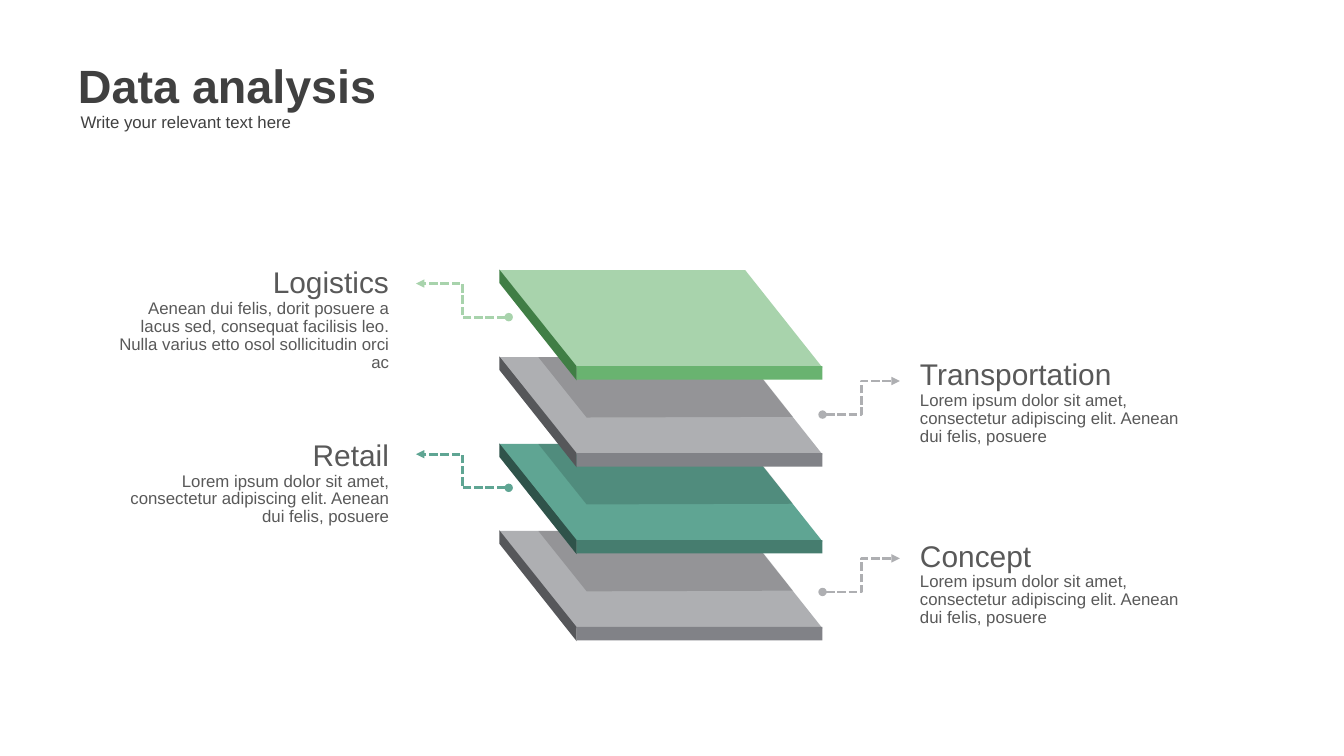
from lxml import etree
from pptx import Presentation
from pptx.dml.color import RGBColor
from pptx.enum.dml import MSO_LINE
from pptx.enum.shapes import MSO_CONNECTOR, MSO_SHAPE
from pptx.enum.text import MSO_ANCHOR, MSO_AUTO_SIZE, PP_ALIGN
from pptx.oxml.ns import qn
from pptx.util import Inches, Pt

COLORS = {
    "title": "404040", "text": "595959", "shade": "000000",
    "gray": "AEAFB2", "gray_side": "56575A", "gray_front": "818287",
    "teal": "5FA593", "teal_side": "2F534A", "teal_front": "467D6F",
    "green": "A8D3AC", "green_side": "407E45", "green_front": "69B370",
}
FONT = "Arial"

LAYERS = ["green", "gray", "teal", "gray"]  # top to bottom
STACK_BOX = (7.43, 4.01, 4.81, 5.53)
LAYER_HEIGHT = 1.65
TOP_FACE = [(1.15, 1.46), (4.81, 1.46), (3.66, 0.01), (0, 0.01)]
SIDE_FACE = [(0, 0), (0, 0.2), (1.15, 1.65), (1.15, 1.44)]
SHADE = [(1.3, 0.91), (4.37, 0.9), (3.67, 0.01), (0.58, 0.01)]

LOREM = ("Lorem ipsum dolor sit amet, consectetur adipiscing elit. "
         "Aenean dui felis, posuere")
AENEAN = ("Aenean dui felis, dorit posuere a lacus sed, consequat facilisis "
          "leo. Nulla varius etto osol sollicitudin orci ac")
# heading, body, text box, colour, alignment, arrow start, arrow end
CALLOUTS = [
    ("Logistics", AENEAN, (1.34, 3.94, 4.85, 1.77), "green", PP_ALIGN.RIGHT,
     (7.57, 4.72), (6.19, 4.22)),
    ("Retail", LOREM, (1.34, 6.51, 4.85, 1.5), "teal", PP_ALIGN.RIGHT,
     (7.57, 7.26), (6.19, 6.76)),
    ("Transportation", LOREM, (13.29, 5.31, 5.05, 1.5), "gray", PP_ALIGN.LEFT,
     (12.24, 6.17), (13.39, 5.67)),
    ("Concept", LOREM, (13.29, 8.01, 5.05, 1.5), "gray", PP_ALIGN.LEFT,
     (12.24, 8.81), (13.39, 8.31)),
]


def rgb(name):
    return RGBColor.from_string(COLORS[name])


def inches(values):
    return [Inches(v) for v in values]


def paint(sp, color, alpha=None):
    """Fill without outline or shadow; alpha is a percentage."""
    sp.shadow.inherit = False
    sp.line.fill.background()
    sp.fill.solid()
    sp.fill.fore_color.rgb = rgb(color)
    if alpha is not None:
        clr = sp.fill._xPr.find(f".//{qn('a:srgbClr')}")
        etree.SubElement(clr, qn("a:alpha")).set("val", str(alpha * 1000))


def add_polygon(shapes, x, y, points, color, alpha=None):
    pts = [inches((x + dx, y + dy)) for dx, dy in points]
    fb = shapes.build_freeform(*pts[0], scale=1.0)
    fb.add_line_segments(pts[1:], close=True)
    paint(fb.convert_to_shape(), color, alpha)


def add_layer(shapes, x, y, color, shaded):
    add_polygon(shapes, x, y, TOP_FACE, color)
    add_polygon(shapes, x, y, SIDE_FACE, f"{color}_side")
    front = shapes.add_shape(MSO_SHAPE.RECTANGLE,
                             *inches((x + 1.15, y + 1.44, 3.66, 0.2)))
    paint(front, f"{color}_front")
    if shaded:
        add_polygon(shapes, x, y, SHADE, "shade", alpha=15)


def add_stack(s, box):
    """Draw the layers from the bottom up, evenly spaced in the box."""
    x, y, _, height = box
    pitch = (height - LAYER_HEIGHT) / (len(LAYERS) - 1)
    shapes = s.shapes.add_group_shape().shapes
    for i, color in reversed(list(enumerate(LAYERS))):
        add_layer(shapes, x, y + i * pitch, color, shaded=i > 0)


def add_run(p, text, size, color, bold=False):
    r = p.add_run()
    r.text = text
    r.font.name = FONT
    r.font.size = Pt(size)
    r.font.bold = bold
    r.font.color.rgb = rgb(color)


def add_arrow(shapes, start, end, color):
    """Dashed elbow from a dot to an arrowhead."""
    cx = shapes.add_connector(MSO_CONNECTOR.ELBOW, *inches(start + end))
    cx.line.color.rgb = rgb(color)
    cx.line.width = Pt(3)
    cx.line.dash_style = MSO_LINE.SQUARE_DOT
    ln = cx.line._get_or_add_ln()
    etree.SubElement(ln, qn("a:headEnd")).set("type", "oval")
    etree.SubElement(ln, qn("a:tailEnd")).set("type", "triangle")
    etree.SubElement(cx._element.spPr, qn("a:effectLst"))


def add_callout(s, heading, body, box, color, align, start, end):
    shapes = s.shapes.add_group_shape().shapes
    tf = shapes.add_textbox(*inches(box)).text_frame
    tf.word_wrap = True
    tf.auto_size = MSO_AUTO_SIZE.SHAPE_TO_FIT_TEXT
    tf.margin_left = tf.margin_right = Inches(0.4)
    tf.margin_top, tf.margin_bottom = inches((0.05, 0.16))
    for p, text, size in ((tf.paragraphs[0], heading, 32),
                          (tf.add_paragraph(), body, 18)):
        p.alignment = align
        p.line_spacing = 0.89
        add_run(p, text, size, "text")
    add_arrow(shapes, start, end, color)


def add_header(s, title_box, subtitle_box):
    title = s.shapes.title
    title.left, title.top, title.width, title.height = inches(title_box)
    subtitle = s.shapes.add_textbox(*inches(subtitle_box))
    for sp, text, size, bold, align in (
            (title, "Data analysis", 50, True, PP_ALIGN.JUSTIFY),
            (subtitle, "Write your relevant text here", 18, False,
             PP_ALIGN.LEFT)):
        tf = sp.text_frame
        tf.word_wrap = True
        tf.auto_size = MSO_AUTO_SIZE.SHAPE_TO_FIT_TEXT
        tf.vertical_anchor = MSO_ANCHOR.TOP
        p = tf.paragraphs[0]
        p.alignment = align
        add_run(p, text, size, "title", bold)


def main():
    prs = Presentation()
    prs.slide_width, prs.slide_height = inches((20, 11.25))
    s = prs.slides.add_slide(prs.slide_layouts[5])
    add_stack(s, STACK_BOX)
    for callout in CALLOUTS:
        add_callout(s, *callout)
    add_header(s, (1.06, 0.79, 8.21, 0.94), (1.1, 1.61, 9.04, 0.4))
    prs.save("out.pptx")


if __name__ == "__main__":
    main()
